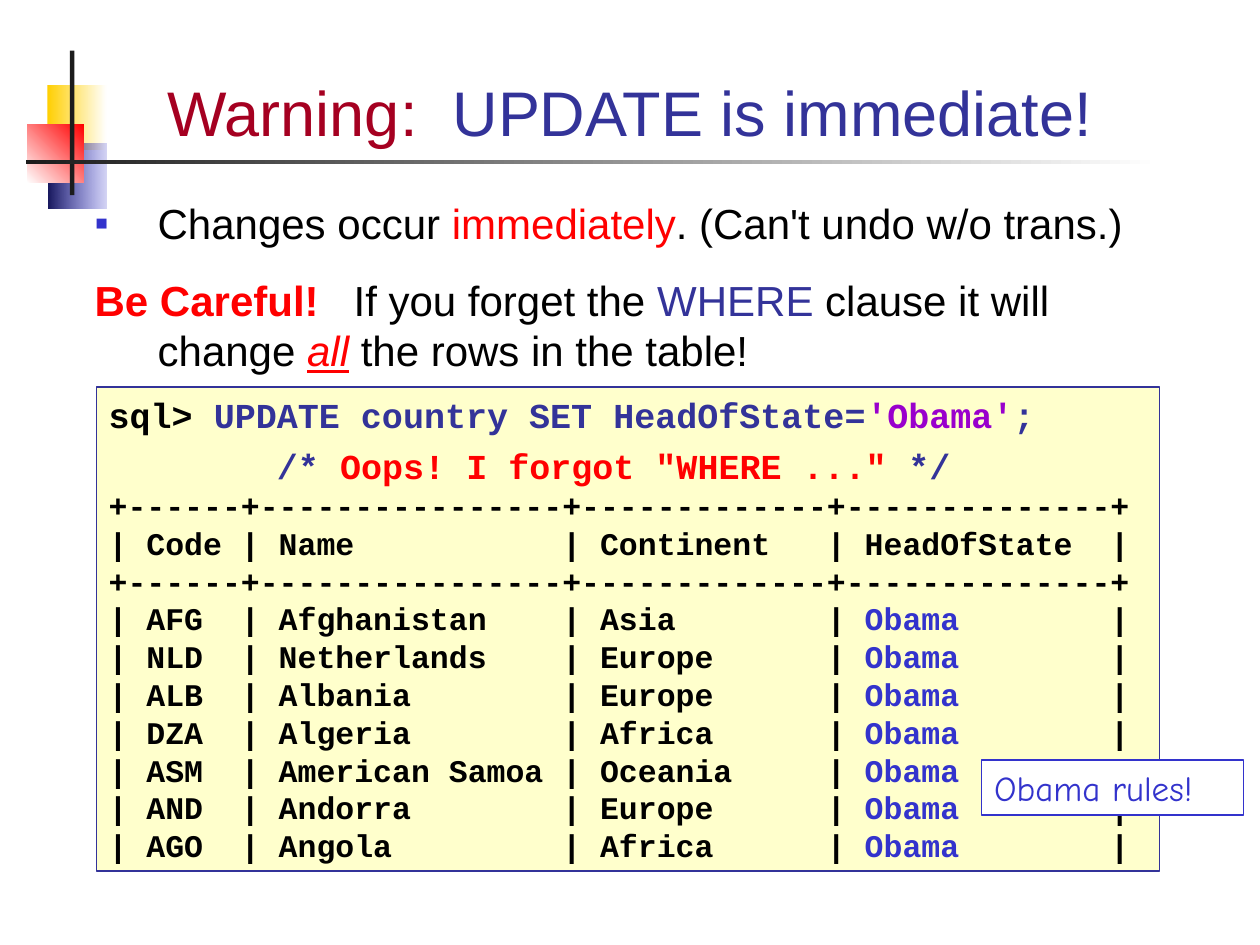
from lxml import etree
from pptx import Presentation
from pptx import util as u
from pptx.dml.color import RGBColor
from pptx.enum import shapes, text
from pptx.oxml import ns

HUES = {
    "black": "000000", "white": "FFFFFF", "ink": "1C1C1C", "gold": "FFCF01",
    "red": "FF0000", "wine": "A50021", "night": "18185E", "blue": "3333CC",
    "navy": "333399", "plum": "9900CC", "cream": "FFFFCC",
}
SANS, MONO, HAND = "Arial", "Courier New", "Comic Neue"
RULE = "+" + "+".join("-" * n for n in (6, 16, 13, 14)) + "+"
ROWS = [
    ("AFG", "Afghanistan", "Asia"),
    ("NLD", "Netherlands", "Europe"),
    ("ALB", "Albania", "Europe"),
    ("DZA", "Algeria", "Africa"),
    ("ASM", "American Samoa", "Oceania"),
    ("AND", "Andorra", "Europe"),
    ("AGO", "Angola", "Africa"),
]


def hue(name):
    return RGBColor.from_string(HUES[name])


def add_block(slide, spot, fill=None, line=None):
    block = slide.shapes.add_shape(shapes.MSO_SHAPE.RECTANGLE, *map(u.Pt, spot))
    block.shadow.inherit = False
    if fill:
        block.fill.solid()
        block.fill.fore_color.rgb = hue(fill)
    if line:
        block.line.color.rgb = hue(line)
        block.line.width = u.Pt(0.75)
    else:
        block.line.fill.background()
    return block


def add_fade(slide, spot, start, end, angle=0, alpha=None):
    fill = add_block(slide, spot).fill
    fill.gradient()
    fill.gradient_angle = angle
    for stop, name, place in zip(fill.gradient_stops, (start, end), (0, 1)):
        stop.color.rgb = hue(name)
        stop.position = place
    if alpha:
        tint = fill._xPr.findall(".//" + ns.qn("a:srgbClr"))[-1]
        etree.SubElement(tint, ns.qn("a:alpha"), val=str(alpha * 1000))


def set_frame(shape, anchor=text.MSO_ANCHOR.TOP):
    frame = shape.text_frame
    frame.word_wrap = True
    frame.vertical_anchor = anchor
    return frame


def add_box(slide, spot, anchor=text.MSO_ANCHOR.TOP):
    return set_frame(slide.shapes.add_textbox(*map(u.Pt, spot)), anchor)


def add_line(frame, runs, size, font, first=False, gap=0, bold=False,
             align=text.PP_ALIGN.LEFT):
    para = frame.paragraphs[0] if first else frame.add_paragraph()
    para.alignment = align
    para.space_before = u.Pt(0 if first else gap)
    for words, name, *marks in runs:
        run = para.add_run()
        run.text = words
        run.font.size = u.Pt(size)
        run.font.name = font
        run.font.color.rgb = hue(name)
        run.font.bold = bold or "bold" in marks
        run.font.italic = "slant" in marks
        run.font.underline = "under" in marks
    return para


def hang(para, mark=None):
    props = para._p.get_or_add_pPr()
    props.set("marL", str(u.Pt(36)))
    props.set("indent", str(u.Pt(-36)))
    if mark:
        tint = etree.SubElement(props, ns.qn("a:buClr"))
        etree.SubElement(tint, ns.qn("a:srgbClr"), val=HUES["blue"])
        etree.SubElement(props, ns.qn("a:buSzPct"), val="95000")
        etree.SubElement(props, ns.qn("a:buFont"), typeface=SANS)
        etree.SubElement(props, ns.qn("a:buChar"), char=mark)


def add_decor(slide):
    add_fade(slide, (27, 48.5, 34, 37), "gold", "white")
    add_fade(slide, (28, 82, 33, 37.25), "night", "blue", alpha=20)
    add_fade(slide, (15.5, 71, 32.5, 33.5), "white", "red", angle=45)
    add_block(slide, (40, 29, 2.5, 82.5), "ink")
    add_fade(slide, (15, 91.5, 648, 2.25), "ink", "white")


def add_title(slide):
    frame = add_box(slide, (48, 20, 624, 68.5), text.MSO_ANCHOR.BOTTOM)
    add_line(frame, [("Warning:", "wine"), ("  UPDATE is immediate!", "navy")],
             36, SANS, first=True, align=text.PP_ALIGN.CENTER)


def add_notes(slide):
    frame = add_box(slide, (47, 109.5, 624, 115))
    hang(add_line(frame, [
        ("Changes occur ", "black"), ("immediately", "red"),
        (". (Can't undo w/o trans.)", "black"),
    ], 24, SANS, first=True), "▪")
    hang(add_line(frame, [
        ("Be Careful!", "red", "bold"), ("   If you forget the ", "black"),
        ("WHERE", "navy"), (" clause it will change ", "black"),
        ("all", "red", "slant", "under"), (" the rows in the table!", "black"),
    ], 24, SANS, gap=15))


def add_code(slide):
    frame = set_frame(add_block(slide, (55, 221.25, 607.5, 276.5), "cream", "navy"))
    add_line(frame, [
        ("sql> ", "black"), ("UPDATE country SET HeadOfState=", "navy"),
        ("'Obama'", "plum"), (";", "navy"),
    ], 20, MONO, first=True, bold=True)
    add_line(frame, [
        ("        /* ", "navy"), ('Oops! I forgot "WHERE ..." ', "red"),
        ("*/", "navy"),
    ], 20, MONO, gap=5, bold=True)
    head = "| Code | Name           | Continent   | HeadOfState  |"
    lines = [[(words, "black")] for words in (RULE, head, RULE)]
    for code, name, land in ROWS:
        lines.append([(f"| {code:<4} | {name:<14} | {land:<11} | ", "black"),
                      ("Obama", "blue"), (f"{'|':>9}", "black")])
    for runs in lines:
        add_line(frame, runs, 18, MONO, bold=True)


def add_label(slide):
    frame = set_frame(add_block(slide, (561, 434.25, 149.5, 31.5), "white", "blue"))
    add_line(frame, [("Obama rules!", "blue")], 20, HAND, first=True)


def main():
    deck = Presentation()
    deck.slide_width, deck.slide_height = u.Pt(720), u.Pt(540)
    slide = deck.slides.add_slide(deck.slide_layouts[6])
    add_decor(slide)
    add_title(slide)
    add_notes(slide)
    add_code(slide)
    add_label(slide)
    deck.save("out.pptx")


if __name__ == "__main__":
    main()
